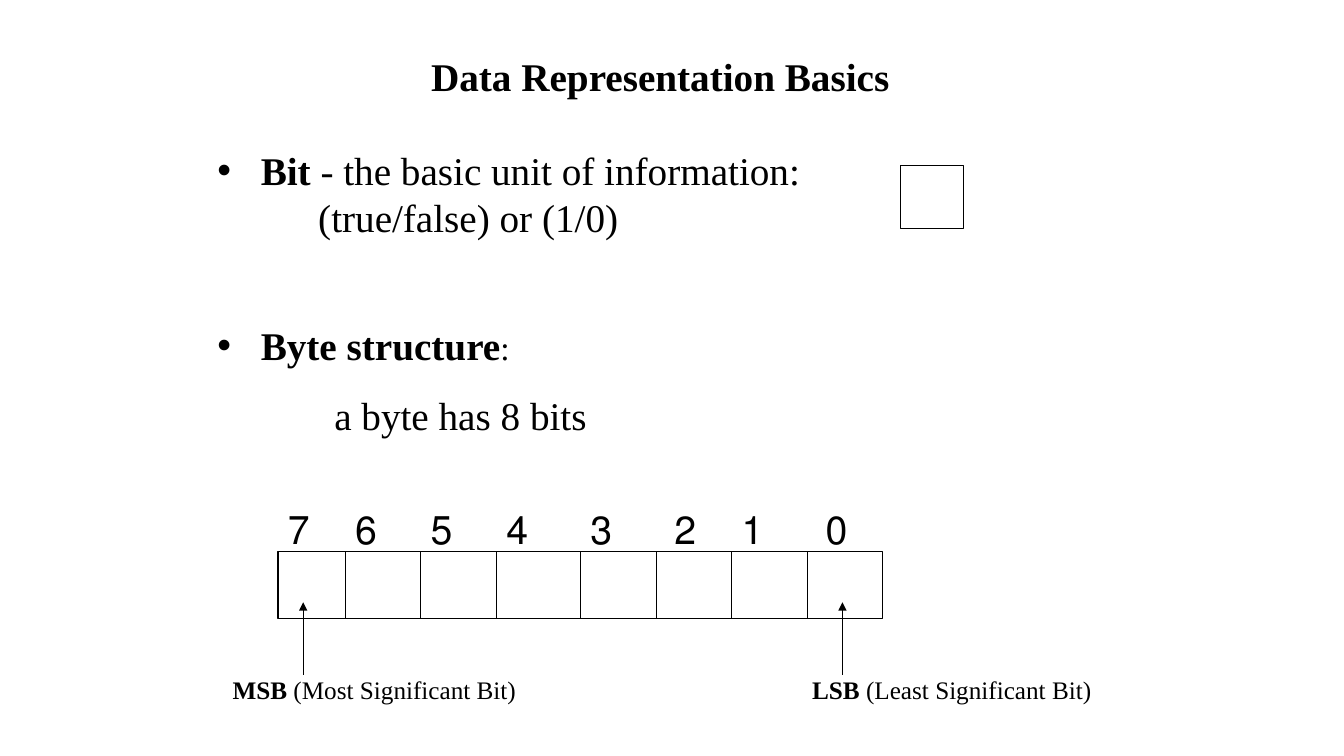
from itertools import accumulate

from lxml import etree
from pptx import Presentation
from pptx import util as u
from pptx.dml.color import RGBColor
from pptx.enum import shapes, text
from pptx.oxml import ns

BLACK = RGBColor(0, 0, 0)
FONT = "Times New Roman"
COLS, ROWS = 160, 90  # grid cells of a twelfth of an inch
CELL = u.Inches(13.33) / COLS
LEFT, TOP, HIGH = 33.1, 65.6, 8  # the byte, in grid cells
WIDTHS = [8, 9, 9, 10, 9, 9, 9, 9]
NUDGE = {2: 1, 0: 1}  # digits set off from their cell's edge


def grid(*cells):
    return [u.Emu(round(c * CELL)) for c in cells]


def add_sub(parent, tag, **attrs):
    return etree.SubElement(parent, ns.qn(tag), attrs)


def add_para(frame, runs, indent=0, bullet=False, gap=0, align=None, rtl=False):
    """Add a paragraph; each run is (words, size, bold)."""
    first = frame.paragraphs[0]
    para = frame.add_paragraph() if first.runs else first
    props = para._p.get_or_add_pPr()
    props.set("marL", str(u.Inches(indent)))
    props.set("indent", str(-u.Inches(indent) if bullet else 0))
    if rtl:
        props.set("rtl", "1")
    if bullet:
        add_sub(props, "a:buFont", typeface="Arial")
        add_sub(props, "a:buChar", char="•")
    else:
        add_sub(props, "a:buNone")
    para.space_before = u.Pt(gap)
    para.alignment = align
    for words, size, bold in runs:
        run = para.add_run()
        run.text = words
        font = run.font
        font.name, font.size, font.bold = FONT, u.Pt(size), bold
        font.color.rgb = BLACK


def add_box(slide, left, top, wide, high):
    frame = slide.shapes.add_textbox(*grid(left, top, wide, high)).text_frame
    frame.word_wrap = True
    return frame


def add_rect(slide, left, top, wide, high):
    rect = slide.shapes.add_shape(
        shapes.MSO_SHAPE.RECTANGLE, *grid(left, top, wide, high))
    rect.shadow.inherit = False
    rect.fill.background()
    rect.line.color.rgb = BLACK
    rect.line.width = u.Pt(0.75)


def add_line(slide, x, start, end, arrow=False):
    """Draw an upright line, with an arrowhead at its end if asked."""
    line = slide.shapes.add_connector(
        shapes.MSO_CONNECTOR.STRAIGHT, *grid(x, start, x, end))
    line.line.color.rgb = BLACK
    line.line.width = u.Pt(0.75)
    if arrow:
        add_sub(line.line._get_or_add_ln(), "a:tailEnd", type="triangle")
    add_sub(line._element.spPr, "a:effectLst")


def add_byte(slide):
    """Draw eight numbered cells in one frame."""
    add_rect(slide, LEFT, TOP, sum(WIDTHS), HIGH)
    for i, edge in enumerate(accumulate(WIDTHS[:-1], initial=0)):
        if i:
            add_line(slide, LEFT + edge, TOP, TOP + HIGH)
        bit = 7 - i
        frame = add_box(slide, LEFT + edge + NUDGE.get(bit, 0), TOP - 6, 5, 6.8)
        add_para(frame, [(str(bit), 28, False)], rtl=True)


def add_label(slide, left, tip, short, full):
    add_line(slide, tip, 80.3, 71.7, arrow=True)
    frame = add_box(slide, left, 79.7, 40, 4.8)
    add_para(frame, [(short, 18, True), (f" ({full})", 18, False)])


def main():
    deck = Presentation()
    deck.slide_width, deck.slide_height = grid(COLS, ROWS)
    slide = deck.slides.add_slide(deck.slide_layouts[6])

    title = add_box(slide, 24.7, 5.6, 107.8, 6.6)
    add_para(title, [("Data Representation Basics", 28, True)],
             align=text.PP_ALIGN.CENTER)

    bit = add_box(slide, 24.7, 16.8, 80, 12)
    add_para(bit, [("Bit", 28, True),
                   (" - the basic unit of information:", 28, False)],
             indent=0.43, bullet=True)
    add_para(bit, [("(true/false) or (1/0)", 28, False)], indent=1)
    add_rect(slide, 107.2, 19.7, 7.5, 7.5)

    byte = add_box(slide, 24.7, 37.7, 105, 15.4)
    add_para(byte, [("Byte structure", 28, True), (":", 24, False)],
             indent=0.43, bullet=True)
    add_para(byte, [("a byte has 8 bits", 28, False)], indent=1.16, gap=16)

    add_byte(slide)
    add_label(slide, 26.5, 36.1, "MSB", "Most Significant Bit")
    add_label(slide, 95.5, 100.3, "LSB", "Least Significant Bit")
    deck.save("out.pptx")


if __name__ == "__main__":
    main()
